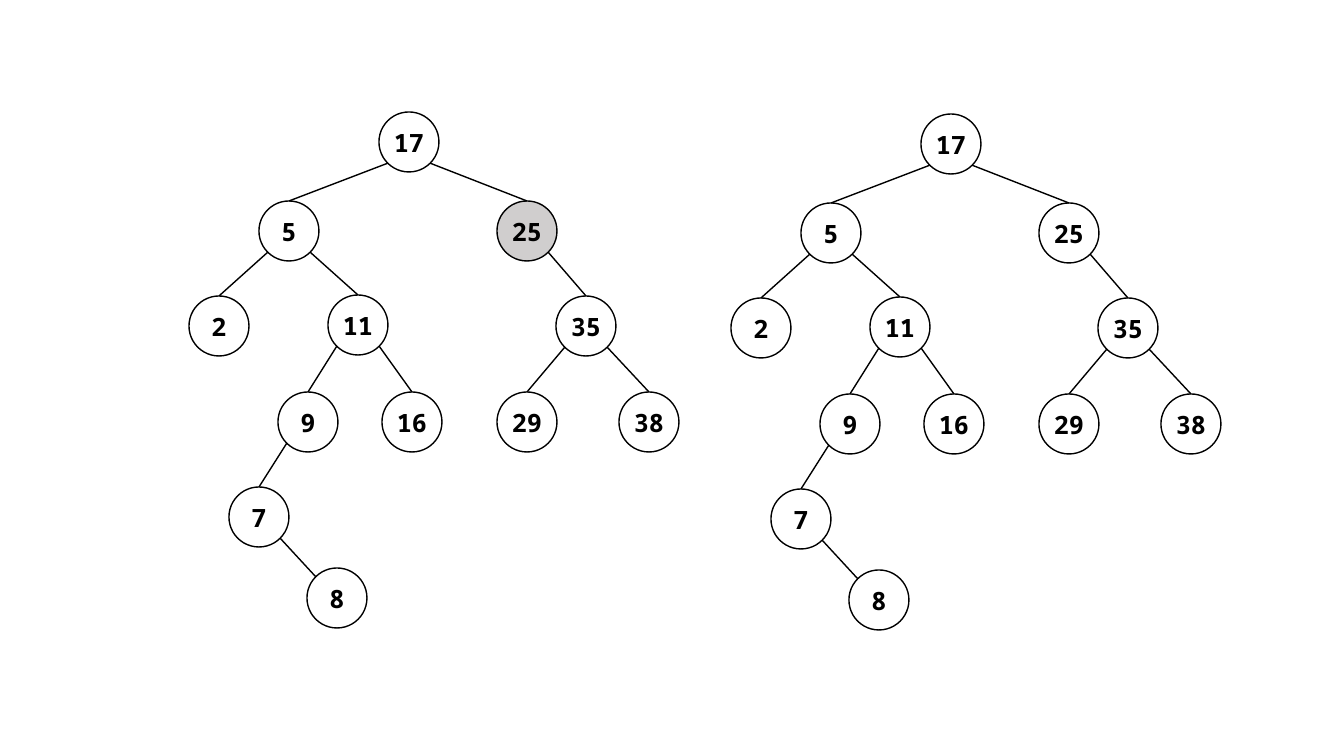
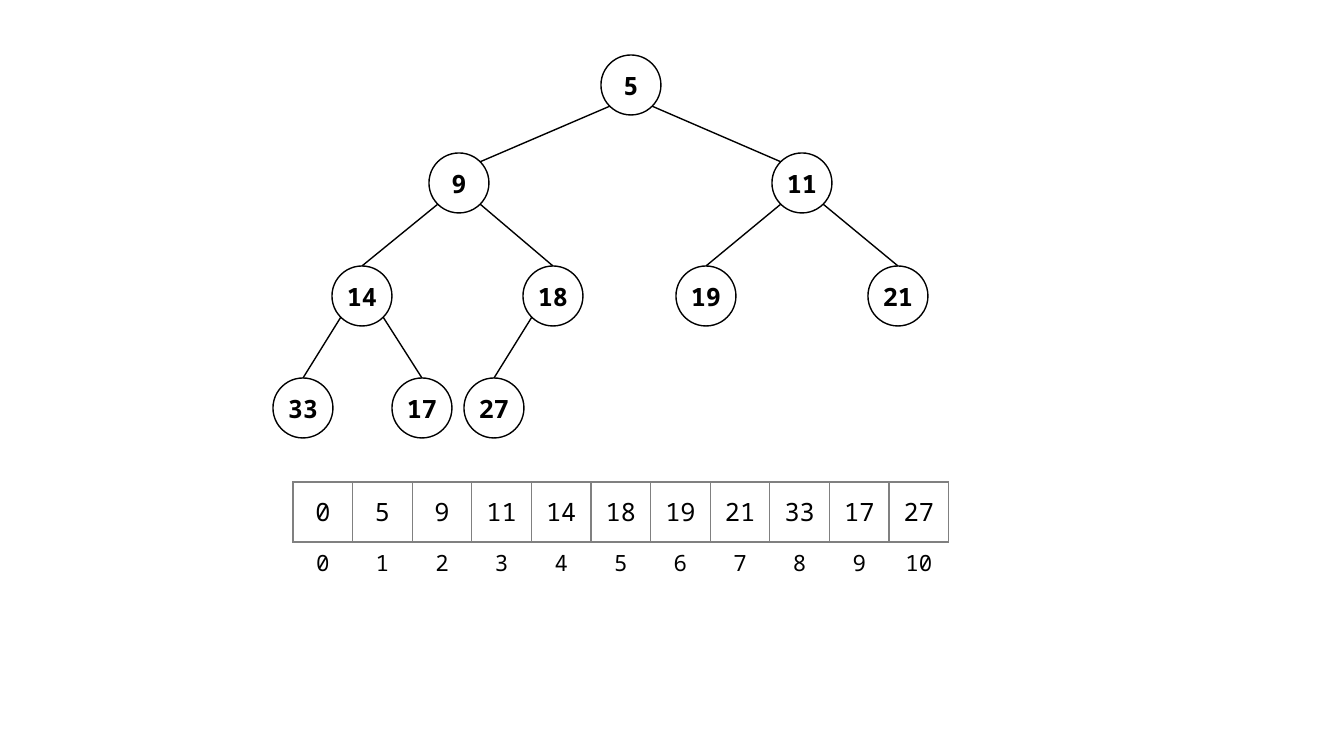
import math
import pptx
import pptx.util
import pptx.dml.color
import pptx.enum.shapes
import pptx.enum.text
import pptx.oxml
import pptx.oxml.ns
from dataclasses import dataclass

EMU_PER_PX = 914400 / 100.8


@dataclass(frozen=True)
class Theme:
    font: str = "Noto Sans Mono"
    ink: str = "000000"
    marked: str = "D0CECE"
    grid: str = "808080"
    value_size: int = 18
    index_size: int = 16
    line_width: int = 1


theme = Theme()
ink = pptx.dml.color.RGBColor.from_string(theme.ink)


def px(length):
    return pptx.util.Emu(round(length * EMU_PER_PX))


def write_value(frame, value, size, bold):
    frame.text = str(value)
    paragraph = frame.paragraphs[0]
    paragraph.alignment = pptx.enum.text.PP_ALIGN.CENTER
    font = paragraph.runs[0].font
    font.name, font.size, font.bold = theme.font, pptx.util.Pt(size), bold
    font.color.rgb = ink


deck = pptx.Presentation()
deck.slide_width, deck.slide_height = px(1344), px(756)
blank = deck.slide_layouts[6]
search_slide = deck.slides.add_slide(blank)
heap_slide = deck.slides.add_slide(blank)

# Trees: value -> (centre x, top y, parent value)
search_tree = {
    17: (409, 112, None),
    5: (289, 201, 17), 25: (527, 201, 17),
    2: (219, 296, 5), 11: (358, 295, 5), 35: (586, 296, 25),
    9: (308, 392, 11), 16: (412, 392, 11),
    29: (527, 392, 35), 38: (649, 392, 35),
    7: (259, 487, 9),
    8: (337, 568, 7),
}
heap_tree = {
    5: (631, 55, None),
    9: (459, 153, 5), 11: (802, 153, 5),
    14: (362, 266, 9), 18: (553, 266, 9),
    19: (706, 266, 11), 21: (898, 266, 11),
    33: (303, 378, 14), 17: (422, 378, 14), 27: (494, 378, 18),
}

# Slide, tree, shift right, shift down, marked values, values joined at the shoulder
drawings = [
    (search_slide, search_tree, 0, 0, {25}, {8}),
    (search_slide, search_tree, 542, 2, set(), {8}),
    (heap_slide, heap_tree, 0, 0, set(), {9, 11}),
]
diameter = 60
radius = diameter / 2
diagonal = radius * math.sqrt(0.5)

for slide, tree, right, down, marked, shouldered in drawings:
    for value, (center_x, top, parent) in tree.items():
        # Node
        x, y = center_x + right, top + down
        node = slide.shapes.add_shape(
            pptx.enum.shapes.MSO_SHAPE.OVAL, px(x - radius), px(y), px(diameter), px(diameter))
        node.shadow.inherit = False
        if value in marked:
            node.fill.solid()
            node.fill.fore_color.rgb = pptx.dml.color.RGBColor.from_string(theme.marked)
        else:
            node.fill.background()
        node.line.color.rgb = ink
        node.line.width = pptx.util.Pt(theme.line_width)
        frame = node.text_frame
        frame.margin_left = frame.margin_right = frame.margin_top = frame.margin_bottom = 0
        frame.vertical_anchor = pptx.enum.text.MSO_ANCHOR.MIDDLE
        write_value(frame, value, theme.value_size, True)

        # Edge from the parent's lower side
        if parent is None:
            continue
        parent_x, parent_top = tree[parent][0] + right, tree[parent][1] + down
        side = math.copysign(diagonal, x - parent_x)
        end_x, end_y = x, y
        if value in shouldered:
            end_x, end_y = x - side, y + radius - diagonal
        edge = slide.shapes.add_connector(
            pptx.enum.shapes.MSO_CONNECTOR.STRAIGHT,
            px(parent_x + side), px(parent_top + radius + diagonal), px(end_x), px(end_y))
        edge.line.color.rgb = ink
        edge.line.width = pptx.util.Pt(theme.line_width)
        edge.element.spPr.append(pptx.oxml.parse_xml(
            f"<a:effectLst {pptx.oxml.ns.nsdecls('a')}/>"))

# Heap array and its indices: values, top, height, type size, border
heap_array = [0, 5, 9, 11, 14, 18, 19, 21, 33, 17, 27]
grid_line = f'<a:solidFill><a:srgbClr val="{theme.grid}"/></a:solidFill>'
rows = [
    (range(len(heap_array)), 543, 36, theme.index_size, "<a:noFill/>"),
    (heap_array, 482, 60, theme.value_size, grid_line),
]
for values, top, height, size, border in rows:
    table = heap_slide.shapes.add_table(
        1, len(values), px(293), px(top), px(656), px(height)).table
    table.first_row = table.horz_banding = False
    for cell, value in zip(table.iter_cells(), values):
        properties = cell._tc.get_or_add_tcPr()
        for edge_tag in ("lnL", "lnR", "lnT", "lnB"):
            properties.append(pptx.oxml.parse_xml(
                f"<a:{edge_tag} {pptx.oxml.ns.nsdecls('a')} "
                f'w="{pptx.util.Pt(theme.line_width)}">{border}</a:{edge_tag}>'))
        cell.fill.background()
        cell.vertical_anchor = pptx.enum.text.MSO_ANCHOR.MIDDLE
        write_value(cell.text_frame, value, size, False)

deck.save("out.pptx")
